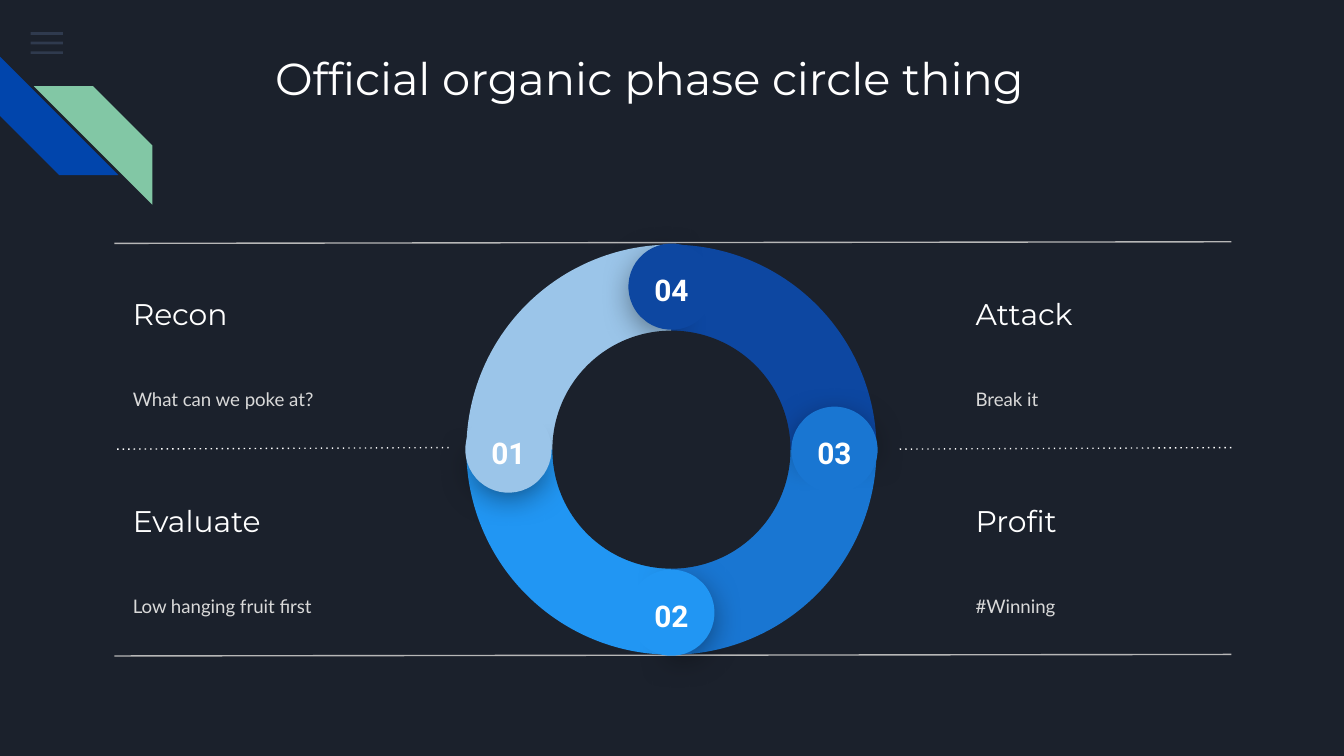
from math import cos, radians, sin

from lxml import etree
from pptx import Presentation
from pptx.dml.color import RGBColor
from pptx.enum.shapes import MSO_CONNECTOR, MSO_SHAPE
from pptx.enum.text import MSO_ANCHOR, PP_ALIGN
from pptx.oxml.ns import qn
from pptx.util import Cm, Pt

RECT, STRIPE = MSO_SHAPE.RECTANGLE, MSO_SHAPE.DIAGONAL_STRIPE
PIE, CHORD, OVAL = MSO_SHAPE.PIE, MSO_SHAPE.CHORD, MSO_SHAPE.OVAL
STRAIGHT = MSO_CONNECTOR.STRAIGHT
TOP, MIDDLE = MSO_ANCHOR.TOP, MSO_ANCHOR.MIDDLE
LEFT, CENTER = PP_ALIGN.LEFT, PP_ALIGN.CENTER


def color(code):
    return RGBColor.from_string(code)


def add(parent, tag, **attrs):
    return etree.SubElement(parent, qn(tag), {k: str(v) for k, v in attrs.items()})


class Deck:
    back, white, gray, pale = "1B212C", "FFFFFF", "B7B7B7", "D9D9D9"
    head, body, digit = "Montserrat", "Lato", "Roboto"

    def __init__(self):
        self.file = Presentation()
        self.file.slide_width, self.file.slide_height = Cm(25.4), Cm(14.29)
        self.slide = self.file.slides.add_slide(self.file.slide_layouts[6])
        fill = self.slide.background.fill
        fill.solid()
        fill.fore_color.rgb = color(self.back)

    def shape(self, kind, x, y, w, h, fill, turn=0, adj=(), alpha=None, glow=False):
        item = self.slide.shapes.add_shape(kind, Cm(x), Cm(y), Cm(w), Cm(h))
        item.rotation = turn % 360
        for i, value in enumerate(adj):
            item.adjustments[i] = value
        item.fill.solid()
        item.fill.fore_color.rgb = color(fill)
        item.line.fill.background()
        item.shadow.inherit = False
        props = item._element.spPr
        if alpha:
            add(props.find(qn("a:solidFill"))[0], "a:alpha", val=alpha * 1000)
        if glow:
            shade = add(props.find(qn("a:effectLst")), "a:outerShdw", blurRad=Pt(18),
                        dist=Pt(4), dir=90 * 60000, algn="bl", rotWithShape=0)
            tint = add(shade, "a:srgbClr", val="000000")
            add(tint, "a:alpha", val=55000)

    def disc(self, kind, x, y, size, fill, **style):
        self.shape(kind, x - size / 2, y - size / 2, size, size, fill, **style)

    def text(self, words, x, y, w, h, size, font, fill=white, anchor=TOP,
             align=LEFT, bold=False, lead=None, after=None):
        frame = self.slide.shapes.add_textbox(Cm(x), Cm(y), Cm(w), Cm(h)).text_frame
        frame.word_wrap = True
        frame.vertical_anchor = anchor
        frame.margin_left = frame.margin_right = Cm(0.25)
        frame.margin_top = frame.margin_bottom = Cm(0.25)
        para = frame.paragraphs[0]
        para.text = words
        para.alignment = align
        if lead:
            para.line_spacing = lead
        if after:
            para.space_after = Pt(after)
        para.font.size = Pt(size)
        para.font.name = font
        para.font.bold = bold
        para.font.color.rgb = color(fill)

    def rule(self, right, left, y, fill, dots=False):
        item = self.slide.shapes.add_connector(
            STRAIGHT, Cm(right), Cm(y), Cm(left), Cm(y + 0.03))
        item.line.width = Pt(0.75)
        item.line.color.rgb = color(fill)
        props = item._element.spPr
        if dots:
            add(props.find(qn("a:ln")), "a:prstDash", val="dot")
        add(props, "a:effectLst")


def main():
    deck = Deck()
    for i in range(3):
        deck.shape(RECT, 0.58, 0.61 + 0.18 * i, 0.61, 0.05, "55688B", alpha=36)
    deck.shape(STRIPE, 0, 1.07, 2.24, 2.24, "0145AC", turn=270)
    deck.shape(STRIPE, 0.64, 1.63, 2.24, 2.24, "82C7A5", turn=90)
    deck.text("Official organic phase circle thing", 4.95, 0.71, 15.62, 1.93, 24, deck.head)

    phases = [
        (2.26, 5.31, "Recon", "What can we poke at?"),
        (2.26, 9.22, "Evaluate", "Low hanging fruit first"),
        (18.19, 5.31, "Attack", "Break it"),
        (18.19, 9.22, "Profit", "#Winning"),
    ]
    for x, y, name, note in phases:
        deck.text(name, x, y, 5.16, 1.24, 16, deck.head, anchor=MIDDLE)
        deck.text(note, x, y + 1.23, 5.54, 1.93, 10, deck.body, deck.pale,
                  anchor=MIDDLE, lead=1.15, after=16)

    deck.rule(23.27, 2.16, 4.57, deck.gray)
    deck.rule(8.48, 2.16, 8.46, deck.white, dots=True)
    deck.rule(23.27, 16.94, 8.46, deck.white, dots=True)
    deck.rule(23.27, 2.16, 12.37, deck.gray)

    mid_x, mid_y, ring = 12.69, 8.5, 3.08
    blues = ["9BC5E9", "2196F3", "1976D2", "0D47A1"]
    for i, blue in enumerate(blues):
        deck.disc(PIE, mid_x, mid_y, 7.75, blue, turn=-90 * i, adj=(107.96, 162.01))
    for i, blue in enumerate(blues):
        angle = radians(180 - 90 * i)
        x, y = mid_x + ring * cos(angle), mid_y + ring * sin(angle)
        deck.disc(PIE, x, y, 1.45, blue, turn=39.5 - 90 * i, adj=(189.54, 83.81), glow=True)
        deck.disc(CHORD, x, y, 1.63, blue, turn=4.1 - 90 * i, adj=(25.01, 18.12))
        deck.text(f"{i + 1:02}", x - 0.71, y - 0.53, 1.42, 0.74, 16, deck.digit,
                  align=CENTER, bold=True)
    deck.disc(OVAL, mid_x, mid_y, 4.5, deck.back)
    deck.file.save("out.pptx")


if __name__ == "__main__":
    main()
